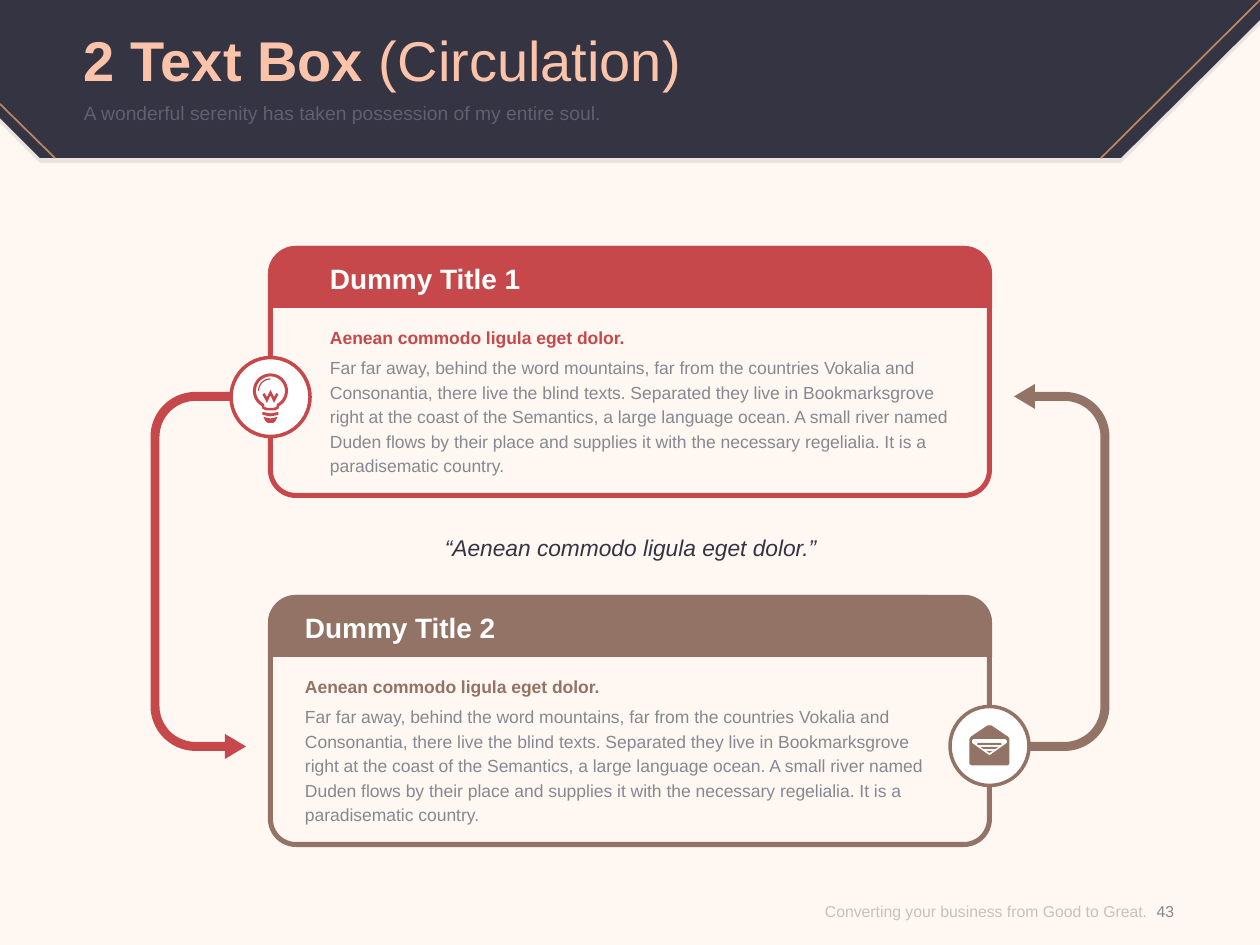
from math import cos, radians, sin

from lxml.etree import SubElement
from pptx import Presentation
from pptx.dml.color import RGBColor
from pptx.enum.shapes import MSO_CONNECTOR, MSO_SHAPE
from pptx.enum.text import MSO_ANCHOR, PP_ALIGN
from pptx.oxml.ns import qn
from pptx.util import Pt

PX = 914400 / 126
WIDTH, HEIGHT = 1260, 945
FONT = "Arial"
COLORS = {
    "background": "FFF7F2", "navy": "343442", "peach": "FBC4AA", "bronze": "B98763",
    "red": "C7484A", "brown": "927365", "white": "FFFFFF", "text": "85898F",
    "subtitle": "605F73", "footer": "8C8C8C",
}
TITLE = [("2 Text Box ", True), ("(Circulation)", False)]
SUBTITLE = "A wonderful serenity has taken possession of my entire soul."
QUOTE = "“Aenean commodo ligula eget dolor.”"
FOOTER = "Converting your business from Good to Great."
PAGE = "43"
HEADING = "Aenean commodo ligula eget dolor."
BODY = (
    "Far far away, behind the word mountains, far from the countries Vokalia and "
    "Consonantia, there live the blind texts. Separated they live in Bookmarksgrove "
    "right at the coast of the Semantics, a large language ocean. A small river named "
    "Duden flows by their place and supplies it with the necessary regelialia. "
    "It is a paradisematic country."
)
PANELS = [
    {"title": "Dummy Title 1", "color": "red", "top": 246, "text_left": 330, "badge_x": 270.5},
    {"title": "Dummy Title 2", "color": "brown", "top": 595, "text_left": 305, "badge_x": 989.5},
]
PANEL_LEFT, PANEL_WIDTH, PANEL_HEIGHT = 268, 724, 252
HEADER_HEIGHT, CORNER, BORDER = 62, 28, 5
BADGE_DROP, BADGE_SIZE, BADGE_LINE = 151, 79, 3.5
BANNER = [(0, 0), (1260, 0), (1260, 20), (1121, 158), (40, 158), (0, 118)]
BANNER_LINES = [(1260, 0, 1101, 158), (55, 158, 0, 104)]


def emu(value):
    return round(value * PX)


def color(name):
    return RGBColor.from_string(COLORS[name])


def set_alpha(element, percent):
    for node in element.iter(qn("a:srgbClr")):
        SubElement(node, qn("a:alpha"), val=str(percent * 1000))


def arc(x, y, radius, start, end, steps=24):
    angles = [radians(start + (end - start) * i / steps) for i in range(steps + 1)]
    return [(x + radius * cos(a), y + radius * sin(a)) for a in angles]


def style(shape, fill=None, line=None, line_width=0):
    shape.shadow.inherit = False
    if fill:
        shape.fill.solid()
        shape.fill.fore_color.rgb = color(fill)
    else:
        shape.fill.background()
    if line:
        shape.line.color.rgb = color(line)
        shape.line.width = emu(line_width)
    else:
        shape.line.fill.background()
    return shape


def add_preset(slide, kind, left, top, width, height, **look):
    shape = slide.shapes.add_shape(kind, emu(left), emu(top), emu(width), emu(height))
    return style(shape, **look)


def add_outline(slide, contours, fill, dx=0, dy=0):
    moved = [[(emu(x + dx), emu(y + dy)) for x, y in contour] for contour in contours]
    builder = slide.shapes.build_freeform(*moved[0][0], scale=1.0)
    for index, contour in enumerate(moved):
        if index:
            builder.move_to(*contour[0])
        builder.add_line_segments(contour[1:], close=True)
    return style(builder.convert_to_shape(), fill=fill)


def format_run(run, size, name, bold=False, italic=False):
    run.font.name, run.font.size = FONT, Pt(size)
    run.font.bold, run.font.italic = bold, italic
    run.font.color.rgb = color(name)


def prepare_frame(frame, anchor):
    frame.word_wrap = True
    frame.vertical_anchor = anchor
    frame.margin_left = frame.margin_right = frame.margin_top = frame.margin_bottom = 0


def add_text(slide, text, box, size, name, align=PP_ALIGN.LEFT, anchor=MSO_ANCHOR.TOP,
             spacing=None, bold=False, italic=False):
    shape = slide.shapes.add_textbox(*map(emu, box))
    prepare_frame(shape.text_frame, anchor)
    shape.text_frame.text = text
    paragraph = shape.text_frame.paragraphs[0]
    paragraph.alignment = align
    if spacing:
        paragraph.line_spacing = Pt(spacing)
    format_run(paragraph.runs[0], size, name, bold, italic)
    return shape


def loop_arrow():
    return (
        [(231, 392)] + arc(195.5, 437, 45, 270, 180) + arc(195.5, 706, 45, 180, 90)
        + [(225, 751), (225, 759), (246, 746.5), (225, 734), (225, 742)]
        + arc(195.5, 706, 36, 90, 180) + arc(195.5, 437, 36, 180, 270) + [(231, 401)]
    )


def add_bulb(slide, x, y, fill):
    contours = [
        arc(0, -6, 17.5, 120, 420, 48) + [(8, 12), (4, 13.5), (-4, 13.5), (-8, 12)],
        arc(0, -6, 14.5, 116, 424, 48) + [(6, 10), (3, 11), (-3, 11), (-6, 10)],
        [(-8, 15), (0, 16.5), (8, 15), (8, 18), (0, 19.5), (-8, 18)],
        [(-7, 20), (0, 21.5), (7, 20), (5, 24), (3, 26), (-3, 26), (-5, 24)],
        [(-6, -4), (-3.5, 0), (0, -7), (3.5, 0), (6, -4),
         (8, -2.5), (3.5, 6), (0, -1.5), (-3.5, 6), (-8, -2.5)],
        arc(0, -6, 12.5, 180, 270) + arc(0, -6, 11.3, 270, 180),
    ]
    add_outline(slide, contours, fill, x, y)


def add_envelope(slide, x, y, fill):
    contours = [
        [(-20, -7), (-19, -9), (-2, -20.5), (2, -20.5), (19, -9), (20, -7),
         (20, 18), (18, 19.5), (-18, 19.5), (-20, 18)],
        [(-17.5, -5.5), (-16, -7), (16, -7), (17.5, -5.5), (17.5, -3), (0, 9.5), (-17.5, -3)],
        [(-12, -3), (12, -3), (12, -1), (-12, -1)],
        [(-9, 1), (9, 1), (6, 3), (-6, 3)],
        [(-3, 5), (3, 5), (0, 7)],
    ]
    add_outline(slide, contours, fill, x, y)


def add_panel(slide, panel, add_icon):
    top, fill, left = panel["top"], panel["color"], panel["text_left"]
    inset = BORDER / 2
    frame = add_preset(slide, MSO_SHAPE.ROUNDED_RECTANGLE, PANEL_LEFT + inset, top + inset,
                       PANEL_WIDTH - BORDER, PANEL_HEIGHT - BORDER, line=fill, line_width=BORDER)
    frame.adjustments[0] = (CORNER - inset) / (PANEL_HEIGHT - BORDER)
    header = add_preset(slide, MSO_SHAPE.ROUND_2_SAME_RECTANGLE, PANEL_LEFT, top,
                        PANEL_WIDTH, HEADER_HEIGHT, fill=fill)
    header.adjustments[0] = CORNER / HEADER_HEIGHT
    x, y = panel["badge_x"], top + BADGE_DROP
    add_preset(slide, MSO_SHAPE.OVAL, x - BADGE_SIZE / 2, y - BADGE_SIZE / 2, BADGE_SIZE,
               BADGE_SIZE, fill="white", line=fill, line_width=BADGE_LINE)
    add_icon(slide, x, y, fill)
    add_text(slide, panel["title"], (left, top + 16, 635, 34), 16, "white", bold=True)
    add_text(slide, HEADING, (left, top + 78, 635, 23), 10, fill, spacing=14, bold=True)
    add_text(slide, BODY, (left, top + 108, 635, 123), 10, "text", spacing=14)


def add_banner(slide):
    shadow = add_outline(slide, [BANNER], "navy", dy=5)
    set_alpha(shadow.element, 10)
    add_outline(slide, [BANNER], "navy")
    for ends in BANNER_LINES:
        line = slide.shapes.add_connector(MSO_CONNECTOR.STRAIGHT, *map(emu, ends))
        line.line.color.rgb = color("bronze")
        line.line.width = Pt(1)
        SubElement(line.element.spPr, qn("a:effectLst"))


def add_title(slide):
    title = slide.shapes.title
    title.left, title.top, title.width, title.height = map(emu, (84, 18, 1091, 82))
    prepare_frame(title.text_frame, MSO_ANCHOR.MIDDLE)
    paragraph = title.text_frame.paragraphs[0]
    paragraph.alignment = PP_ALIGN.LEFT
    for text, bold in TITLE:
        run = paragraph.add_run()
        run.text = text
        format_run(run, 32, "peach", bold)


def main():
    presentation = Presentation()
    presentation.slide_width, presentation.slide_height = emu(WIDTH), emu(HEIGHT)
    slide = presentation.slides.add_slide(presentation.slide_layouts[5])
    slide.background.fill.solid()
    slide.background.fill.fore_color.rgb = color("background")
    add_banner(slide)
    title = slide.shapes.title.element
    title.getparent().append(title)
    add_title(slide)
    add_text(slide, SUBTITLE, (84, 101, 1091, 49), 11, "subtitle")
    arrow = loop_arrow()
    add_outline(slide, [arrow], "red")
    add_outline(slide, [[(WIDTH - x, 1143 - y) for x, y in arrow]], "brown")
    for panel, add_icon in zip(PANELS, (add_bulb, add_envelope)):
        add_panel(slide, panel, add_icon)
    add_text(slide, QUOTE, (328, 537, 605, 25), 13, "navy", PP_ALIGN.CENTER,
             spacing=14, italic=True)
    footer = add_text(slide, FOOTER, (761, 877, 386, 68), 9, "footer", PP_ALIGN.RIGHT,
                      MSO_ANCHOR.MIDDLE)
    set_alpha(footer.element, 50)
    add_text(slide, PAGE, (1136, 877, 59, 68), 9, "text", PP_ALIGN.CENTER, MSO_ANCHOR.MIDDLE)
    presentation.save("out.pptx")


if __name__ == "__main__":
    main()
